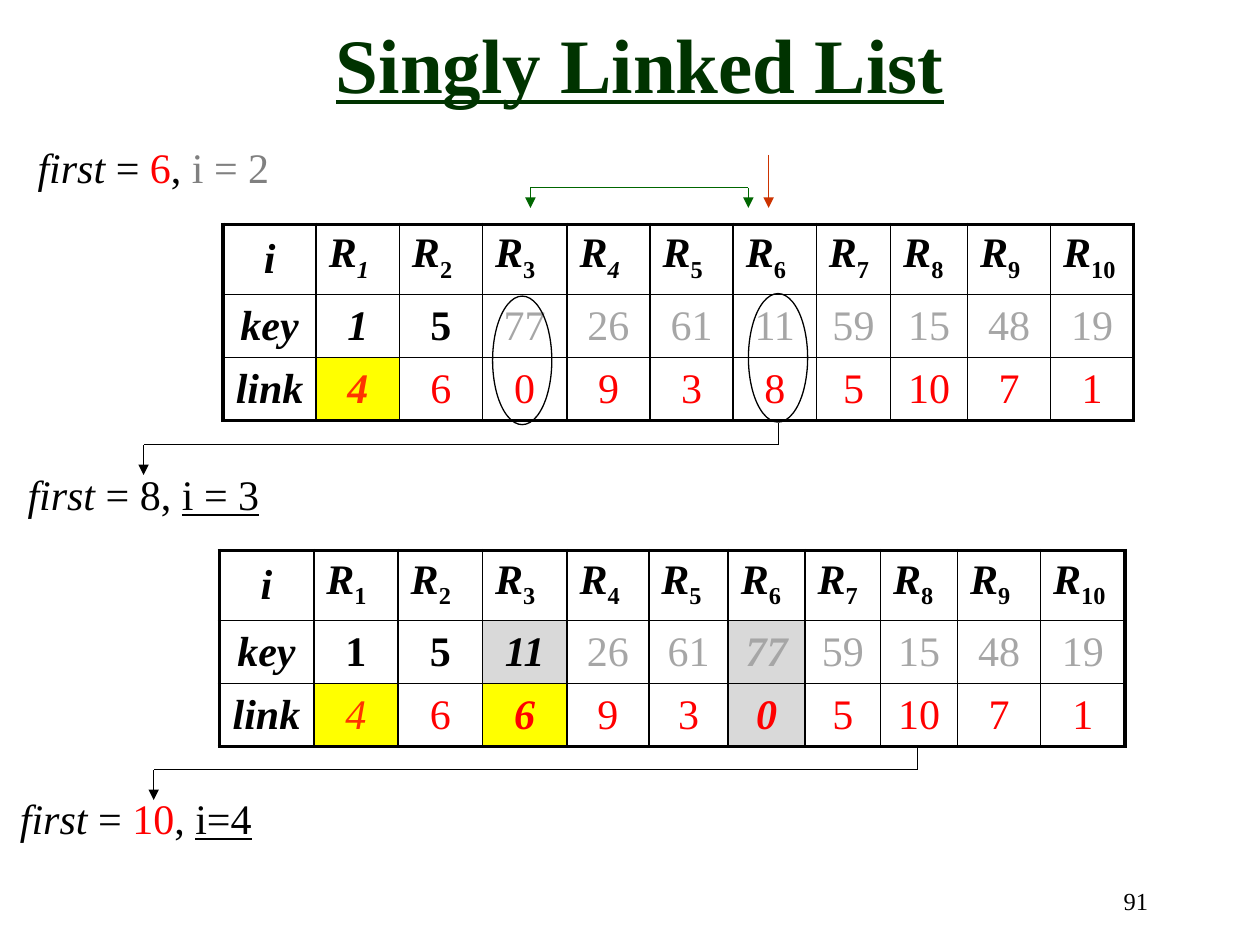
from pptx import Presentation
from pptx.dml.color import RGBColor as RGB
from pptx.enum.shapes import MSO_CONNECTOR as Conn, MSO_SHAPE as Shape
from pptx.enum.text import MSO_ANCHOR as Anchor, PP_ALIGN as Align
from pptx.oxml.ns import qn
from pptx.util import Inches, Pt
from lxml.etree import SubElement

FONT = "Times New Roman"
BLACK = RGB(0, 0, 0)
RED = RGB(255, 0, 0)
ORANGE = RGB(0xFF, 0x33, 0)
RUST = RGB(0xCC, 0x33, 0)
GREEN = RGB(0, 0x66, 0)
DARK = RGB(0, 0x33, 0)
GRAY = RGB(0x80, 0x80, 0x80)
PALE = RGB(0xA6, 0xA6, 0xA6)
SHADE = RGB(0xD9, 0xD9, 0xD9)
YELLOW = RGB(255, 255, 0)

THICK, THIN = 2.25, 1
ROWS = [0.55, 0.5, 0.5]


def add_runs(para, runs, size=24):
    """Each run is (text, style, colour); style letters: b, i, u, s (subscript)."""
    for text, style, color in runs:
        run = para.add_run()
        run.text = text
        font = run.font
        font.name, font.size = FONT, Pt(size)
        font.color.rgb = color
        font.bold, font.italic = "b" in style, "i" in style
        font.underline = "u" in style
        if "s" in style:
            font._element.set("baseline", "-25000")


def add_text(slide, box, runs, size=24, align=Align.LEFT, anchor=Anchor.TOP, wrap=True):
    frame = slide.shapes.add_textbox(*map(Inches, box)).text_frame
    frame.word_wrap = wrap
    frame.vertical_anchor = anchor
    frame.paragraphs[0].alignment = align
    add_runs(frame.paragraphs[0], runs, size)


def add_line(shapes, start, end, color, arrow=False):
    line = shapes.add_connector(Conn.STRAIGHT, *map(Inches, start + end))
    line.line.color.rgb = color
    line.line.width = Pt(0.75)
    if arrow:
        SubElement(line.line._get_or_add_ln(), qn("a:tailEnd"), type="triangle")
    SubElement(line._element.spPr, qn("a:effectLst"))


def add_route(slide, points, color, arrows):
    """Join the points by lines; arrows tells which lines carry a head."""
    group = slide.shapes.add_group_shape()
    for start, end, arrow in zip(points, points[1:], arrows):
        add_line(group.shapes, start, end, color, arrow)


def add_ring(slide, x, y):
    ring = slide.shapes.add_shape(Shape.OVAL, *map(Inches, (x, y, 0.47, 1.02)))
    ring.shadow.inherit = False
    ring.fill.background()
    ring.line.color.rgb = BLACK
    ring.line.width = Pt(0.75)


def set_edges(cell, widths):
    props = cell._tc.get_or_add_tcPr()
    for side, width in zip("LRTB", widths):
        edge = SubElement(props, qn("a:ln" + side), w=str(Pt(width)))
        fill = SubElement(edge, qn("a:solidFill"))
        SubElement(fill, qn("a:srgbClr"), val=str(BLACK))


def add_grid(slide, x, y, cols, keys, links, slanted, marks):
    """marks maps (row, column) to (style, colour, fill); slanted lists italic indices."""
    frame = slide.shapes.add_table(
        3, len(cols), *map(Inches, (x, y, sum(cols), sum(ROWS))))
    table = frame.table
    table.first_row = table.horz_banding = False
    for col, width in zip(table.columns, cols):
        col.width = Inches(width)
    for row, height in zip(table.rows, ROWS):
        row.height = Inches(height)

    heads = ["i"] + [str(n) for n in range(1, len(cols))]
    for r, words in enumerate([heads, ["key"] + keys, ["link"] + links]):
        for c, word in enumerate(words):
            cell = table.cell(r, c)
            para = cell.text_frame.paragraphs[0]
            style, color, fill = marks.get((r, c), ("", RED if r == 2 else PALE, None))
            if c == 0:
                runs = [(word, "bi", BLACK)]
            elif r == 0:
                sub = "bis" if c in slanted else "bs"
                runs = [("R", "bi", BLACK), (word, sub, BLACK)]
            else:
                runs = [(word, style, color)]
            add_runs(para, runs)
            if c == 0 or r > 0:
                para.alignment = Align.CENTER
                cell.vertical_anchor = Anchor.MIDDLE
            outer = (c == 0, c == len(cols) - 1, r == 0, r == 2)
            set_edges(cell, [THICK if out else THIN for out in outer])
            if fill is None:
                cell.fill.background()
            else:
                cell.fill.solid()
                cell.fill.fore_color.rgb = fill


def main():
    prs = Presentation()
    prs.slide_width, prs.slide_height = Inches(10), Inches(7.5)
    slide = prs.slides.add_slide(prs.slide_layouts[6])

    # Title and page number
    add_text(slide, (1.46, 0, 7.24, 1), [("Singly Linked List", "bu", DARK)],
             44, Align.CENTER, Anchor.MIDDLE)
    add_text(slide, (7.13, 6.98, 2.08, 0.5), [("91", "", BLACK)], 14, Align.RIGHT)

    # State of the list at each step
    add_text(slide, (0.2, 1.07, 2.12, 0.51),
             [("first ", "i", BLACK), ("= ", "", BLACK), ("6", "", RED),
              (", ", "", BLACK), ("i = 2", "", GRAY)], wrap=False)
    add_text(slide, (0.12, 3.67, 2.12, 0.5),
             [("first", "i", BLACK), (" = 8, ", "", BLACK), ("i = 3", "u", BLACK)])
    add_text(slide, (0.06, 6.24, 2.58, 0.51),
             [("first", "i", BLACK), (" = ", "", BLACK), ("10", "", RED),
              (", ", "", BLACK), ("i=4", "u", BLACK)])

    # Records after and before the swap
    add_grid(slide, 1.74, 4.37,
             [0.75, 0.67, 0.67, 0.67, 0.65, 0.63, 0.61, 0.6, 0.61, 0.66, 0.67],
             "1 5 11 26 61 77 59 15 48 19".split(),
             "4 6 6 9 3 0 5 10 7 1".split(), (),
             {(1, 1): ("b", BLACK, None), (1, 2): ("b", BLACK, None),
              (1, 3): ("bi", BLACK, SHADE), (1, 6): ("bi", PALE, SHADE),
              (2, 1): ("i", ORANGE, YELLOW), (2, 3): ("bi", RED, YELLOW),
              (2, 6): ("bi", RED, SHADE)})
    add_grid(slide, 1.77, 1.78,
             [0.74, 0.66, 0.66, 0.67, 0.66, 0.66, 0.66, 0.59, 0.61, 0.66, 0.66],
             "1 5 77 26 61 11 59 15 48 19".split(),
             "4 6 0 9 3 8 5 10 7 1".split(), (1, 4),
             {(1, 1): ("bi", BLACK, None), (1, 2): ("b", BLACK, None),
              (2, 1): ("bi", ORANGE, YELLOW)})

    # Swapped pair and current record
    add_ring(slide, 3.91, 2.35)
    add_ring(slide, 5.94, 2.33)
    left, right = (4.21, 1.49), (5.94, 1.49)
    add_route(slide, [left, (4.21, 1.65)], GREEN, [True])
    add_route(slide, [left, right, (5.94, 1.65)], GREEN, [False, True])
    add_line(slide.shapes, (6.1, 1.23), (6.1, 1.65), RUST, True)

    # Links to the next first
    for start, end, top in [(6.18, 1.14, 3.36), (7.28, 1.22, 5.94)]:
        turn = top + 0.17
        add_route(slide, [(start, top), (start, turn), (end, turn), (end, turn + 0.24)],
                  BLACK, [False, False, True])

    prs.save("out.pptx")


if __name__ == "__main__":
    main()
